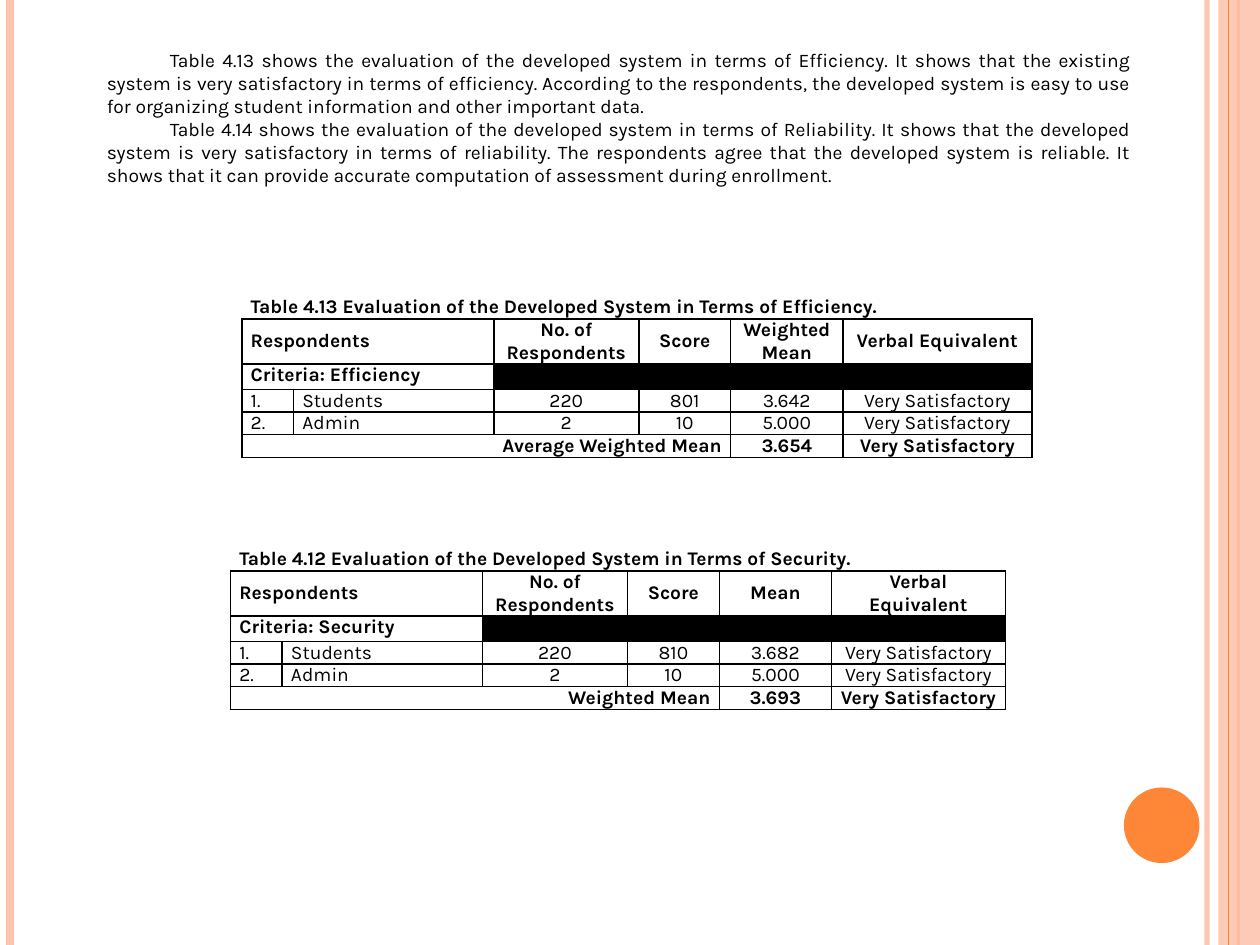
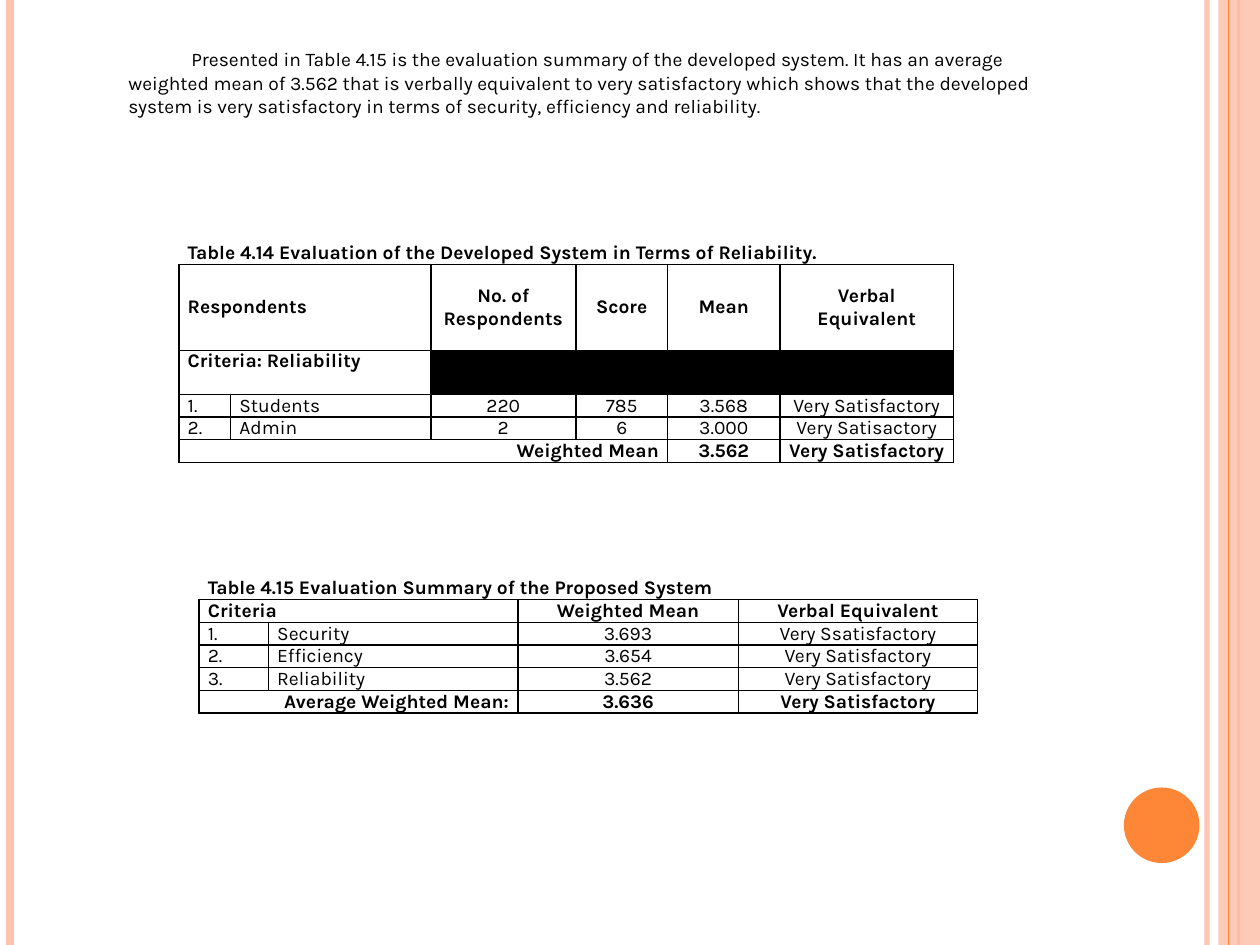
from dataclasses import dataclass

from lxml.etree import SubElement as Sub
from pptx import Presentation
from pptx.dml.color import RGBColor as RGB
from pptx.enum.shapes import MSO_CONNECTOR as Link, MSO_SHAPE as Form
from pptx.enum.text import MSO_ANCHOR as Anchor, PP_ALIGN as Align
from pptx.oxml.ns import qn
from pptx.util import Inches, Pt


@dataclass(frozen=True)
class Theme:
    ink: RGB = RGB(0, 0, 0)
    peach: RGB = RGB(0xFE, 0xC3, 0xAE)
    orange: RGB = RGB(0xFE, 0x86, 0x37)
    font: str = "Karla"
    size: float = 11
    rule: float = 1


THEME = Theme()
WIDTH, HEIGHT = 10, 7.5
LINE = 0.18  # height of a one-line table row


# Shared helpers
def write(para, text, bold=False):
    run = para.add_run()
    run.text = text
    font = run.font
    font.name, font.size, font.bold = THEME.font, Pt(THEME.size), bold
    font.color.rgb = THEME.ink


def fade(shape, percent):
    """Make every solid colour of a shape partly clear."""
    for clr in shape._element.spPr.iter(qn("a:srgbClr")):
        Sub(clr, qn("a:alpha"), val=str(percent * 1000))


def stripe(slide, x, color, weight):
    line = slide.shapes.add_connector(
        Link.STRAIGHT, Inches(x), 0, Inches(x), Inches(HEIGHT))
    line.line.color.rgb = color
    line.line.width = Pt(weight)
    Sub(line._element.spPr, qn("a:effectLst"))
    return line


def block(slide, form, box, color):
    shape = slide.shapes.add_shape(form, *map(Inches, box))
    shape.shadow.inherit = False
    shape.fill.solid()
    shape.fill.fore_color.rgb = color
    shape.line.fill.background()
    return shape


# Side stripes, right band and dot
def frame(slide):
    fade(stripe(slide, 9.58, THEME.peach, 3), 93)
    stripe(slide, 0.08, THEME.peach, 4.5)
    stripe(slide, 9.83, THEME.orange, 1.5)
    fade(block(slide, Form.RECTANGLE, (9.67, 0, 0.33, HEIGHT), THEME.peach), 87)
    stripe(slide, 9.75, THEME.orange, 0.75)
    block(slide, Form.OVAL, (8.92, 6.25, 0.6, 0.6), THEME.orange)


# Introductory text with indented first lines
def intro(slide, box, texts, align):
    frame = slide.shapes.add_textbox(*map(Inches, box)).text_frame
    frame.word_wrap = True
    for i, text in enumerate(texts):
        para = frame.add_paragraph() if i else frame.paragraphs[0]
        para.alignment = align
        props = para._p.get_or_add_pPr()
        props.set("marL", "0")
        props.set("indent", str(Inches(0.5)))
        write(para, text)


# Table cells
def edge(cell, sides):
    props = cell._tc.get_or_add_tcPr()
    for side in "LRTB":
        line = Sub(props, qn(f"a:ln{side}"), w=str(Pt(THEME.rule)))
        if side in sides:
            fill = Sub(line, qn("a:solidFill"))
            Sub(fill, qn("a:srgbClr"), val=str(THEME.ink))
        else:
            Sub(line, qn("a:noFill"))


def style(cell, text, bold, align, anchor):
    cell.margin_left = cell.margin_right = Inches(0.07)
    cell.margin_top = cell.margin_bottom = 0
    cell.vertical_anchor = anchor
    para = cell.text_frame.paragraphs[0]
    para.alignment = align
    if text:
        write(para, text, bold)
    else:
        Sub(para._p, qn("a:endParaRPr"), sz=str(THEME.size * 100))
    if text == "":  # blacked-out cell
        cell.fill.solid()
        cell.fill.fore_color.rgb = THEME.ink
    else:
        cell.fill.background()


# Captioned table: None continues the cell to its left, "" is blacked out
def grid(slide, left, top, cols, highs, rows):
    rows = [[*row[:1], *[None] * (len(cols) - len(row)), *row[1:]] for row in rows]
    table = slide.shapes.add_table(
        len(rows), len(cols), Inches(left), Inches(top),
        Inches(sum(cols)), Inches(sum(highs))).table
    table.first_row = table.horz_banding = False
    for col, wide in zip(table.columns, cols):
        col.width = Inches(wide)
    last = len(rows) - 1
    for r, row in enumerate(rows):
        table.rows[r].height = Inches(highs[r])
        bold = not row[0][0].isdigit()
        anchor = Anchor.BOTTOM if r == 0 else Anchor.MIDDLE
        if row[0].startswith("Criteria:"):
            anchor = Anchor.TOP
        for c, text in enumerate(row):
            align = Align.LEFT if c < 2 else Align.CENTER
            if r == last and c == 0:
                align = Align.RIGHT
            cell = table.cell(r, c)
            edge(cell, "LRTB" if r else "B")
            style(cell, text, bold, align, anchor)
        span = 1
        while span < len(row) and row[span] is None:
            span += 1
        if span > 1:
            table.cell(r, 0).merge(table.cell(r, span - 1))


# Table of one criterion, scored by students and admin
def score(slide, left, top, number, name, heads, people, total,
          final=1.38, highs=(0.36, 0.36, 0.2)):
    grid(slide, left, top, (0.41, 1.59, 1.15, 0.73, 0.89, final),
         (*highs, *[LINE] * 3),
         [[f"Table {number} Evaluation of the Developed System in Terms of {name}."],
          ["Respondents", "No. of Respondents", "Score", *heads],
          [f"Criteria: {name}", "", "", "", ""],
          *people, total])


VERBAL = "Verbal Equivalent"
GOOD = "Very Satisfactory"


def first(slide):
    frame(slide)
    score(slide, 1.83, 4.17, "4.12", "Security", ["Mean", VERBAL],
          [["1.", "Students", "220", "810", "3.682", GOOD],
           ["2.", "Admin", "2", "10", "5.000", GOOD]],
          ["Weighted Mean", "3.693", GOOD])
    score(slide, 1.92, 2.17, "4.13", "Efficiency", ["Weighted Mean", VERBAL],
          [["1.", "Students", "220", "801", "3.642", GOOD],
           ["2.", "Admin", "2", "10", "5.000", GOOD]],
          ["Average Weighted Mean", "3.654", GOOD], final=1.5)
    intro(slide, (0.75, 0.33, 8.33, 1.21), [
        "Table 4.13 shows the evaluation of the developed system in terms of "
        "Efficiency. It shows that the existing system is very satisfactory in "
        "terms of efficiency. According to the respondents, the developed system "
        "is easy to use for organizing student information and other important "
        "data.",
        "Table 4.14 shows the evaluation of the developed system in terms of "
        "Reliability. It shows that the developed system is very satisfactory in "
        "terms of reliability. The respondents agree that the developed system is "
        "reliable. It shows that it can provide accurate computation of assessment "
        "during enrollment."], Align.JUSTIFY)


def second(slide):
    frame(slide)
    score(slide, 1.42, 1.92, "4.14", "Reliability", ["Mean", VERBAL],
          [["1.", "Students", "220", "785", "3.568", GOOD],
           ["2.", "Admin", "2", "6", "3.000", "Very Satisactory"]],
          ["Weighted Mean", "3.562", GOOD], highs=(LINE, 0.68, 0.35))
    grid(slide, 1.58, 4.58, (0.55, 1.98, 1.75, 1.9), [LINE] * 6,
         [["Table 4.15 Evaluation Summary of the Proposed System"],
          ["Criteria", "Weighted Mean", VERBAL],
          ["1.", "Security", "3.693", "Very Ssatisfactory"],
          ["2.", "Efficiency", "3.654", GOOD],
          ["3.", "Reliability", "3.562", GOOD],
          ["Average Weighted Mean:", "3.636", GOOD]])
    intro(slide, (0.92, 0.33, 7.75, 0.96), [
        "Presented in Table 4.15 is the evaluation summary of the developed "
        "system. It has an average weighted mean of 3.562 that is verbally "
        "equivalent to very satisfactory which shows that the developed system is "
        "very satisfactory in terms of security, efficiency and reliability."],
        Align.LEFT)


def main():
    deck = Presentation()
    deck.slide_width, deck.slide_height = Inches(WIDTH), Inches(HEIGHT)
    for build in (first, second):
        build(deck.slides.add_slide(deck.slide_layouts[6]))
    deck.save("out.pptx")


if __name__ == "__main__":
    main()
